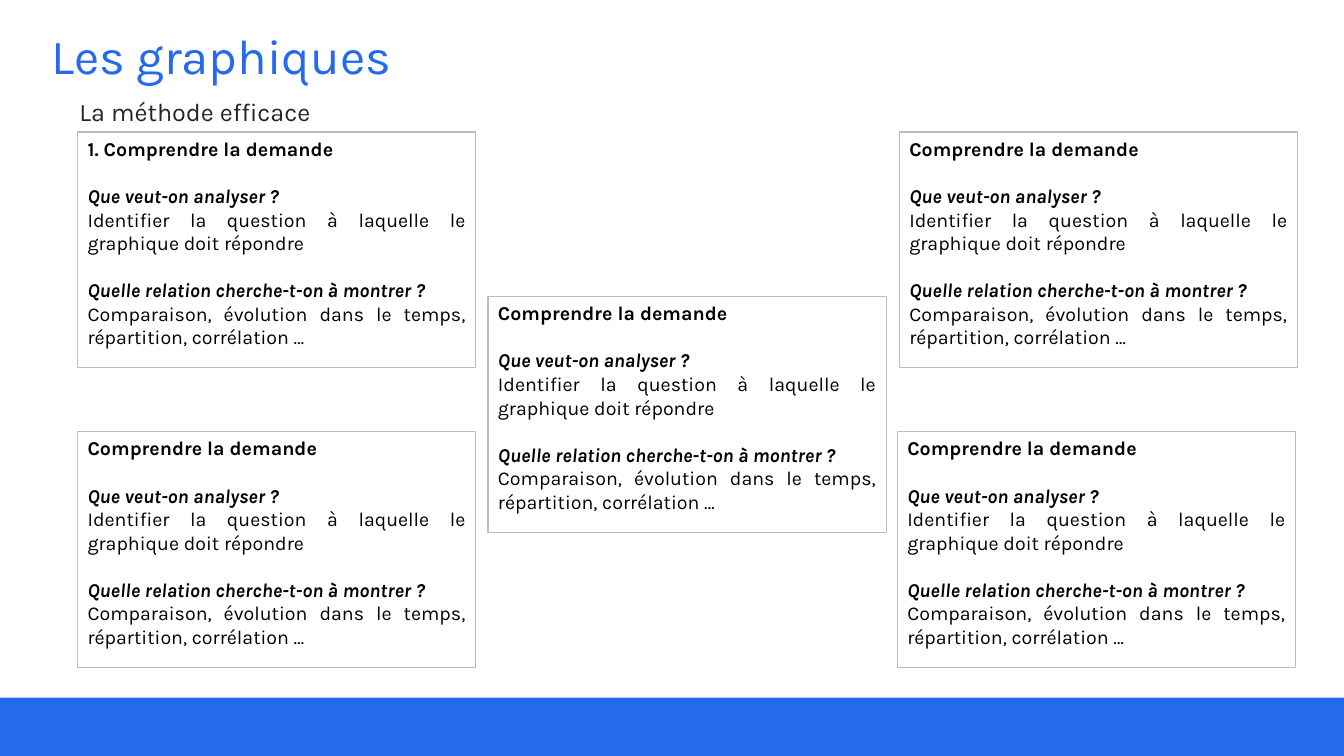
from pptx import Presentation
from pptx.dml.color import RGBColor
from pptx.enum.shapes import MSO_SHAPE
from pptx.enum.text import MSO_ANCHOR, PP_ALIGN
from pptx.util import Inches, Pt

RECT = MSO_SHAPE.RECTANGLE
TOP, MIDDLE = MSO_ANCHOR.TOP, MSO_ANCHOR.MIDDLE
LEFT, JUSTIFY = PP_ALIGN.LEFT, PP_ALIGN.JUSTIFY

# Content
TITLE = "Les graphiques"
SUBTITLE = "La méthode efficace"
HEADING = "Comprendre la demande"
TOPICS = [
    ("Que veut-on analyser ?",
     "Identifier la question à laquelle le graphique doit répondre"),
    ("Quelle relation cherche-t-on à montrer ?",
     "Comparaison, évolution dans le temps, répartition, corrélation …"),
]
CARDS = [  # left, top, heading
    (0.77, 1.31, "1. " + HEADING),
    (0.77, 4.28, HEADING),
    (8.92, 1.31, HEADING),
    (8.9, 4.28, HEADING),
    (4.84, 2.94, HEADING),
]

# Layout and style
WIDE, HIGH = 13.33, 7.5
CARD_W, CARD_H = 3.95, 2.34
BAND_H = 0.58
GAP = 16.8  # one line of card text, in points
FONT = "Karla"
BLUE, DARK, BLACK, WHITE, GREY = "2569ED", "252324", "000000", "FFFFFF", "BDBDBD"


def color(code):
    return RGBColor.from_string(code)


def add_box(left, top, width, height, fill, line=None):
    box = slide.shapes.add_shape(
        RECT, Inches(left), Inches(top), Inches(width), Inches(height))
    box.shadow.inherit = False
    box.fill.solid()
    box.fill.fore_color.rgb = color(fill)
    if line:
        box.line.color.rgb = color(line)
        box.line.width = Pt(0.75)
    else:
        box.line.fill.background()
    return box


def add_text(frame, text, size=14, ink=BLACK, bold=False, italic=False,
             align=LEFT, before=0, spacing=1.0):
    para = frame.paragraphs[0]
    if para.runs:
        para = frame.add_paragraph()
    para.alignment = align
    para.line_spacing = spacing
    para.space_before = Pt(before)
    run = para.add_run()
    run.text = text
    font = run.font
    font.name, font.size = FONT, Pt(size)
    font.bold, font.italic = bold, italic
    font.color.rgb = color(ink)


def add_label(text, left, top, width, height, anchor=TOP, **style):
    label = slide.shapes.add_textbox(
        Inches(left), Inches(top), Inches(width), Inches(height))
    frame = label.text_frame
    frame.word_wrap = True
    frame.vertical_anchor = anchor
    add_text(frame, text, **style)


deck = Presentation()
deck.slide_width, deck.slide_height = Inches(WIDE), Inches(HIGH)
slide = deck.slides.add_slide(deck.slide_layouts[6])

# Bottom band and titles
add_box(0, HIGH - BAND_H, WIDE, BAND_H, BLUE)
add_label(TITLE, 0.41, 0.27, 12.31, 0.63, MIDDLE, size=35, ink=BLUE, spacing=0.9)
add_label(SUBTITLE, 0.69, 0.91, 2.7, 0.4, size=18, ink=DARK)

# Cards
for left, top, heading in CARDS:
    frame = add_box(left, top, CARD_W, CARD_H, WHITE, GREY).text_frame
    frame.word_wrap = True
    frame.vertical_anchor = TOP
    add_text(frame, heading, bold=True)
    for ask, answer in TOPICS:
        add_text(frame, ask, bold=True, italic=True, align=JUSTIFY, before=GAP)
        add_text(frame, answer, align=JUSTIFY)

deck.save("out.pptx")
